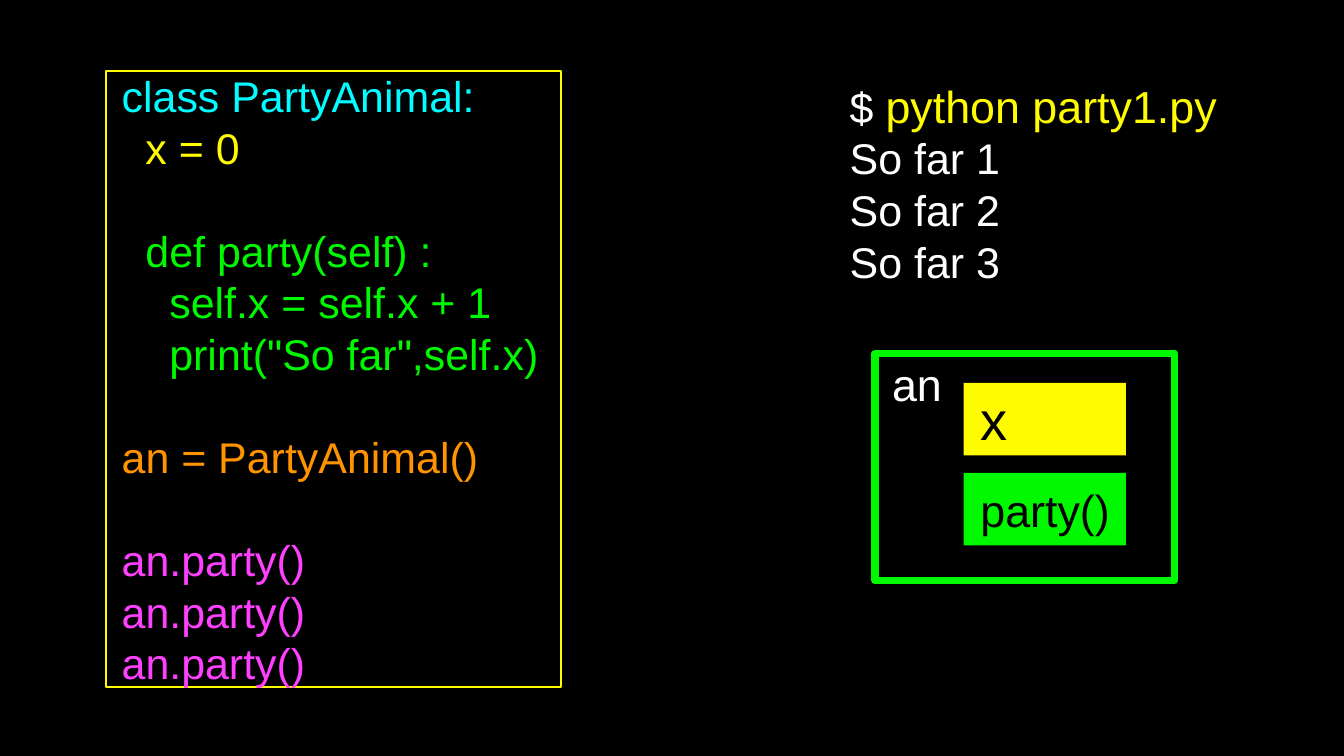
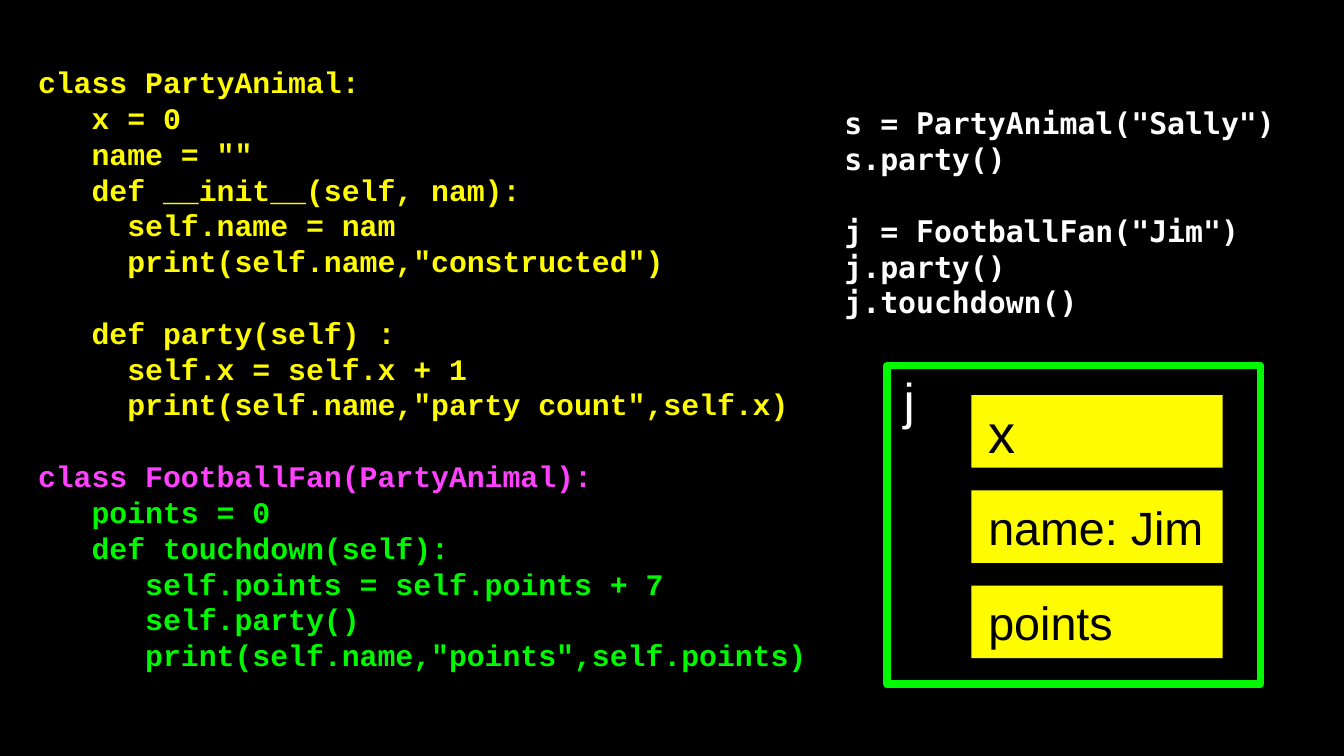
from pptx import Presentation
from pptx.dml.color import RGBColor
from pptx.enum.shapes import MSO_SHAPE as Preset
from pptx.enum.text import MSO_ANCHOR as Anchor, PP_ALIGN as Align
from pptx.util import Cm, Pt

# Shared colours and fonts
BLACK = RGBColor(0x00, 0x00, 0x00)
WHITE = RGBColor(0xFF, 0xFF, 0xFF)
YELLOW = RGBColor(0xFF, 0xFB, 0x00)
GREEN = RGBColor(0x00, 0xF9, 0x00)
CYAN = RGBColor(0x00, 0xFD, 0xFF)
ORANGE = RGBColor(0xFF, 0x93, 0x00)
PINK = RGBColor(0xFF, 0x40, 0xFF)
SANS, MONO, OUTPUT_MONO = "Arial", "Courier New", "DejaVu Sans Mono"

INSET = 0.06
LEADING = 1.2
FIELD_HEIGHT = 1.37

# Code, as blocks of lines that share a colour
PARTY_CODE = [
    (CYAN, "class PartyAnimal:"),
    (YELLOW, "  x = 0\n"),
    (GREEN, """  def party(self) :
    self.x = self.x + 1
    print("So far",self.x)
"""),
    (ORANGE, "an = PartyAnimal()\n"),
    (PINK, "an.party()\nan.party()\nan.party()"),
]
INHERITANCE_CODE = [
    (YELLOW, '''class PartyAnimal:
   x = 0
   name = ""
   def __init__(self, nam):
     self.name = nam
     print(self.name,"constructed")

   def party(self) :
     self.x = self.x + 1
     print(self.name,"party count",self.x)
'''),
    (PINK, "class FootballFan(PartyAnimal):"),
    (GREEN, """   points = 0
   def touchdown(self):
      self.points = self.points + 7
      self.party()
      print(self.name,"points",self.points)"""),
]
USAGE_CODE = [
    (WHITE, """s = PartyAnimal("Sally")
s.party()

j = FootballFan("Jim")
j.party()
j.touchdown()"""),
]


def set_frame(shape, anchor, indent=0):
    """Set wrapping, anchor and insets; indent is extra space on the left."""
    frame = shape.text_frame
    frame.word_wrap = True
    frame.vertical_anchor = anchor
    frame.margin_left = Cm(INSET + indent)
    frame.margin_top = frame.margin_right = frame.margin_bottom = Cm(INSET)
    return frame


def format_paragraph(paragraph, size, color, font=SANS, bold=False):
    paragraph.alignment = Align.LEFT
    paragraph.line_spacing = Pt(size * LEADING)
    paragraph.font.name = font
    paragraph.font.size = Pt(size)
    paragraph.font.bold = bold
    paragraph.font.color.rgb = color


def write_lines(frame, blocks, size, font=SANS, bold=False):
    """Write one paragraph for each line of the coloured blocks."""
    lines = [(color, line) for color, text in blocks for line in text.split("\n")]
    for number, (color, line) in enumerate(lines):
        paragraph = frame.add_paragraph() if number else frame.paragraphs[0]
        paragraph.text = line
        format_paragraph(paragraph, size, color, font, bold)


def add_text(slide, left, top, width, height, blocks, size, font, bold=False):
    box = slide.shapes.add_textbox(Cm(left), Cm(top), Cm(width), Cm(height))
    frame = set_frame(box, Anchor.MIDDLE)
    write_lines(frame, blocks, size, font, bold)
    return frame


def add_box(shapes, left, top, width, height, fill=None, line=None, line_width=4):
    """Add a rectangle that is filled, outlined or both."""
    shape = shapes.add_shape(
        Preset.RECTANGLE, Cm(left), Cm(top), Cm(width), Cm(height))
    shape.shadow.inherit = False
    if fill is None:
        shape.fill.background()
    else:
        shape.fill.solid()
        shape.fill.fore_color.rgb = fill
    if line is None:
        shape.line.fill.background()
    else:
        shape.line.color.rgb = line
        shape.line.width = Pt(line_width)
    return shape


def add_object(shapes, name, name_size, box, fields, field_box, pitch):
    """Draw an object: a green frame with its name and a column of fields."""
    outline = add_box(shapes, *box, line=GREEN)
    write_lines(set_frame(outline, Anchor.TOP, 0.26), [(WHITE, name)], name_size)
    left, top, width = field_box
    for row, (label, size, fill) in enumerate(fields):
        field = add_box(
            shapes, left, top + row * pitch, width, FIELD_HEIGHT, fill=fill)
        frame = set_frame(field, Anchor.MIDDLE, 0.26)
        write_lines(frame, [(BLACK, label)], size)


def build_party_slide(slide):
    # Program output
    output = add_text(slide, 16, 1.68, 8.59, 3.58,
                      [(WHITE, "$ \nSo far 1\nSo far 2\nSo far 3")], 23, SANS)
    command = output.paragraphs[0].add_run()
    command.text = "python party1.py"
    command.font.size = Pt(24)
    command.font.color.rgb = YELLOW

    # The object
    group = slide.shapes.add_group_shape()
    add_object(group.shapes, "an", 24, (16.54, 6.68, 5.66, 4.29),
               [("x", 29, YELLOW), ("party()", 24, GREEN)],
               (18.21, 7.24, 3.07), 1.7)

    # Class code
    panel = add_box(slide.shapes, 2.01, 1.35, 8.59, 11.63,
                    line=YELLOW, line_width=1)
    write_lines(set_frame(panel, Anchor.MIDDLE, 0.23), PARTY_CODE, 23)


def build_inheritance_slide(slide):
    # Class code and its use
    add_text(slide, 0.66, 0.43, 14.86, 13.06, INHERITANCE_CODE, 16, MONO, True)
    add_text(slide, 15.9, 1.68, 9.04, 4.67, USAGE_CODE, 16, OUTPUT_MONO, True)

    # The object
    add_object(slide.shapes, "j", 27, (16.76, 6.91, 7.06, 6.02),
               [("x", 29, YELLOW), ("name: Jim", 25, YELLOW),
                ("points", 25, YELLOW)],
               (18.36, 7.47, 4.75), 1.8)


def main():
    presentation = Presentation()
    presentation.slide_width = Cm(25.4)
    presentation.slide_height = Cm(14.29)
    background = presentation.slide_master.background.fill
    background.solid()
    background.fore_color.rgb = BLACK

    blank = presentation.slide_layouts[6]
    for build in (build_party_slide, build_inheritance_slide):
        build(presentation.slides.add_slide(blank))
    presentation.save("out.pptx")


if __name__ == "__main__":
    main()
